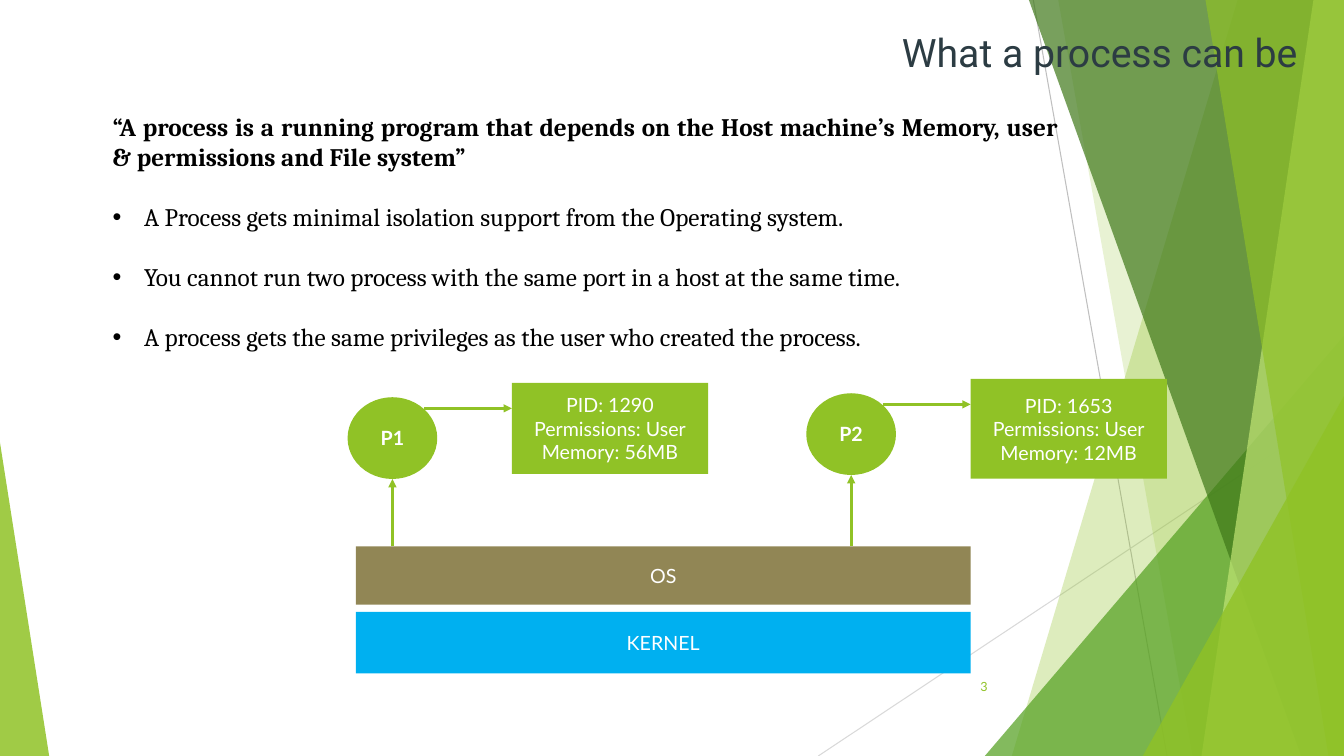
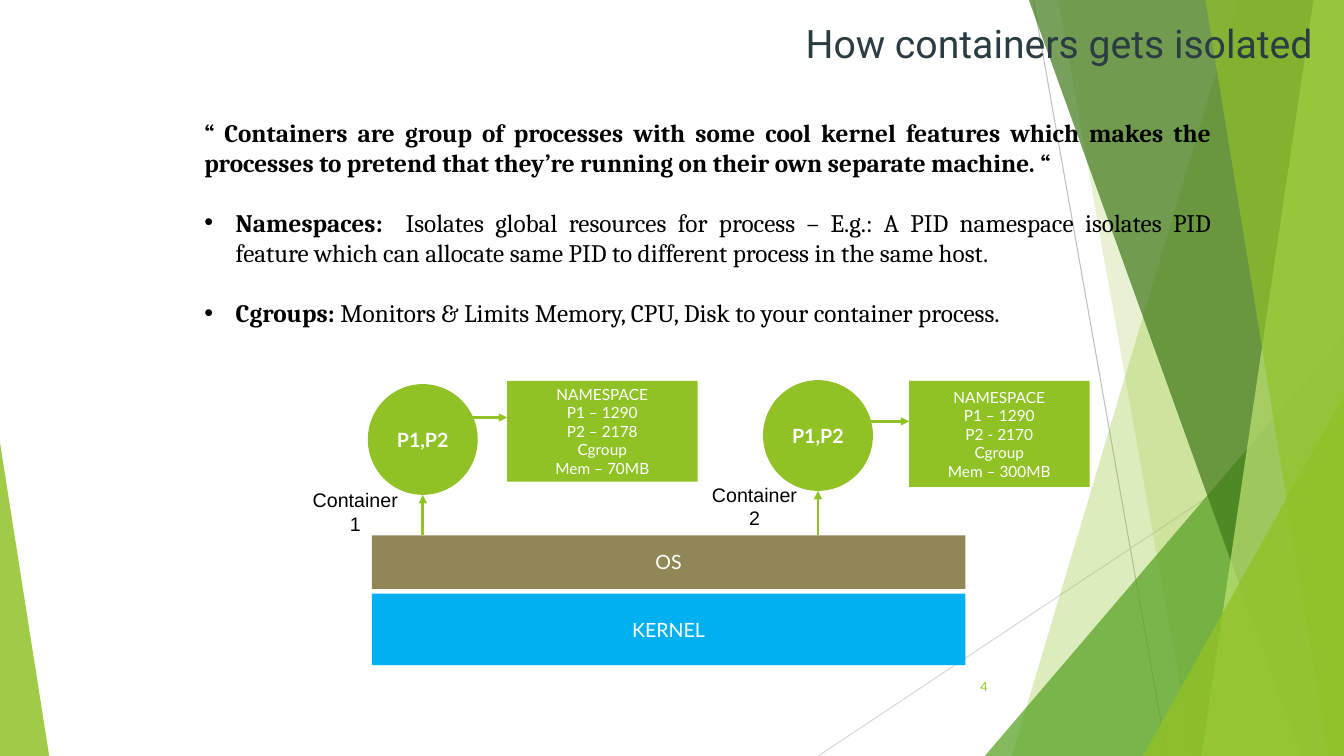
from lxml.etree import SubElement
from pptx import Presentation
from pptx.dml.color import RGBColor
from pptx.enum.shapes import MSO_CONNECTOR as Link, MSO_SHAPE as Preset
from pptx.enum.text import MSO_ANCHOR as Anchor, MSO_AUTO_SIZE as AutoSize, PP_ALIGN as Align
from pptx.oxml.ns import qn
from pptx.util import Cm, Pt

GREEN = RGBColor(0x90, 0xC2, 0x26)
MID_GREEN = RGBColor(0x54, 0xA0, 0x21)
DARK_GREEN = RGBColor(0x3F, 0x78, 0x19)
PALE_GREEN = RGBColor(0xC0, 0xE4, 0x74)
OS_BROWN = RGBColor(0x91, 0x86, 0x55)
KERNEL_BLUE = RGBColor(0x00, 0xB0, 0xF0)
SLATE = RGBColor(0x2C, 0x3C, 0x43)
GREY = RGBColor(0xBF, 0xBF, 0xBF)
LIGHT_GREY = RGBColor(0xD9, 0xD9, 0xD9)
BLACK = RGBColor(0, 0, 0)
WHITE = RGBColor(0xFF, 0xFF, 0xFF)

WIDTH, HEIGHT = 33.87, 19.05

# Content: all places are in centimetres, as left, top, width, height
SLIDES = [
    {
        "number": "3",
        "title": ("What a process can be", (14.76, 0.79)),
        "body": (2.59, 2.67, 24.33, 6.4),
        "quote": "“A process is a running program that depends on the Host machine’s "
                 "Memory, user & permissions and File system”",
        "bullets": [
            [("A Process gets minimal isolation support from the Operating system.", False)],
            [("You cannot run two process with the same port in a host at the same time.", False)],
            [("A process gets the same privileges as the user who created the process.", False)],
        ],
        "os": (8.97, 13.77, 15.49, 1.47),
        "kernel": (8.97, 15.42, 15.49, 1.55),
        "detail_size": 14,
        "processes": [
            {"name": "P1", "circle": (8.76, 10.01, 2.26, 2.06), "arrow_y": 10.29,
             "details": ["PID: 1290", "Permissions: User", "Memory: 56MB"],
             "box": (12.9, 9.65, 4.95, 2.29)},
            {"name": "P2", "circle": (20.32, 9.91, 2.26, 2.06), "arrow_y": 10.19,
             "details": ["PID: 1653", "Permissions: User", "Memory: 12MB"],
             "box": (24.46, 9.55, 4.95, 2.51)},
        ],
        "labels": [],
    },
    {
        "number": "4",
        "title": ("How containers gets isolated", (15.14, 0.56)),
        "body": (4.9, 2.82, 25.88, 6.4),
        "quote": "“ Containers are group of processes with some cool kernel features which "
                 "makes the processes to pretend that they’re running on their own separate "
                 "machine. “",
        "bullets": [
            [("Namespaces: ", True),
             (" Isolates global resources for process – E.g.: A PID namespace isolates PID "
              "feature which can allocate same PID to different process in the same host.", False)],
            [("Cgroups:", True),
             (" Monitors & Limits Memory, CPU, Disk to your container process.", False)],
        ],
        "os": (9.37, 13.49, 14.96, 1.35),
        "kernel": (9.37, 14.96, 14.96, 1.8),
        "detail_size": 11,
        "processes": [
            {"name": "P1,P2", "circle": (9.27, 9.68, 2.77, 2.79), "arrow_y": 10.52,
             "details": ["NAMESPACE", "P1 – 1290", "P2 – 2178", "Cgroup", "Mem – 70MB"],
             "box": (12.78, 9.6, 4.8, 2.54)},
            {"name": "P1,P2", "circle": (19.23, 9.58, 2.77, 2.79), "arrow_y": 10.62,
             "details": ["NAMESPACE", "P1 – 1290", "P2 - 2170", "Cgroup", "Mem – 300MB"],
             "box": (22.91, 9.6, 4.55, 2.67)},
        ],
        "labels": [("Container 1", (7.57, 12.17, 2.77, 1.45)),
                   ("Container 2", (17.63, 12.04, 2.77, 1.45))],
    },
]

# Backdrop, from back to front
THIN_LINES = [((26.04, 0), (29.41, HEIGHT), GREY),
              ((WIDTH, 10.24), (20.62, HEIGHT), LIGHT_GREY)]
# A band runs from its slanted side (top x, bottom x) to the right edge;
# a triangle has its place and its apex (0 left, 1 right)
FACETS = [
    ("band", (31.19, 25.5), None, GREEN, 30),
    ("band", (26.67, 30.05), None, GREEN, 20),
    ("triangle", (24.82, 8.46, 9.05, 10.59), 1, MID_GREEN, 72),
    ("band", (25.93, 32.79), None, DARK_GREEN, 70),
    ("band", (33.1, 30.28), None, PALE_GREEN, 70),
    ("band", (30.38, 33.48), None, GREEN, 65),
    ("triangle", (28.8, 9.98, 5.07, 9.07), 1, GREEN, 80),
    ("triangle", (0, 11.15, 1.24, 7.9), 0, GREEN, 85),
]


def cm(values):
    return [Cm(value) for value in values]


def write(frame, paragraphs, font="Lato", size=14, color=WHITE, bold=False,
          align=Align.CENTER, anchor=Anchor.MIDDLE, line_spacing=None, gap=None, bullets_from=None):
    """Fill a text frame; a paragraph is a string or a list of (text, bold) runs."""
    frame.word_wrap = True
    frame.auto_size = AutoSize.NONE
    frame.vertical_anchor = anchor
    for i, content in enumerate(paragraphs):
        paragraph = frame.paragraphs[0] if i == 0 else frame.add_paragraph()
        paragraph.alignment = align
        if line_spacing:
            paragraph.line_spacing = line_spacing
        if gap:
            paragraph.space_after = Pt(gap)
        if bullets_from is not None and i >= bullets_from:
            props = paragraph._p.get_or_add_pPr()
            props.set("marL", str(Cm(0.79)))
            props.set("indent", str(-Cm(0.79)))
            SubElement(props, qn("a:buFont")).set("typeface", "Arial")
            SubElement(props, qn("a:buChar")).set("char", "•")
        for text, is_bold in [(content, bold)] if isinstance(content, str) else content:
            run = paragraph.add_run()
            run.text = text
            run.font.name, run.font.size = font, Pt(size)
            run.font.bold = is_bold
            run.font.color.rgb = color


def paint(shape, color, opacity=100):
    shape.shadow.inherit = False
    shape.fill.solid()
    shape.fill.fore_color.rgb = color
    shape.line.fill.background()
    if opacity < 100:
        fill_color = shape.element.spPr.find(".//" + qn("a:srgbClr"))
        SubElement(fill_color, qn("a:alpha")).set("val", str(opacity * 1000))
    return shape


def add_block(slide, place, color, paragraphs, preset=Preset.RECTANGLE, **fmt):
    block = paint(slide.shapes.add_shape(preset, *cm(place)), color)
    frame = block.text_frame
    frame.margin_left = frame.margin_right = frame.margin_top = frame.margin_bottom = 0
    write(frame, paragraphs, **fmt)


def add_note(slide, place, paragraphs, **fmt):
    write(slide.shapes.add_textbox(*cm(place)).text_frame, paragraphs, **fmt)


def add_line(slide, start, end, color=GREEN, width=2, arrow=True):
    line = slide.shapes.add_connector(Link.STRAIGHT, *cm(start), *cm(end))
    line.line.color.rgb = color
    line.line.width = Pt(width)
    if arrow:
        SubElement(line.line._get_or_add_ln(), qn("a:tailEnd")).set("type", "triangle")
    SubElement(line.element.spPr, qn("a:effectLst"))
    return line


def add_facet(slide, kind, place, apex, color, opacity):
    if kind == "triangle":
        facet = slide.shapes.add_shape(Preset.ISOSCELES_TRIANGLE, *cm(place))
        facet.adjustments[0] = apex
    else:
        top_x, bottom_x = place
        outline = slide.shapes.build_freeform(Cm(top_x), 0)
        corners = [(WIDTH, 0), (WIDTH, HEIGHT), (bottom_x, HEIGHT)]
        outline.add_line_segments([cm(corner) for corner in corners], close=True)
        facet = outline.convert_to_shape()
    return paint(facet, color, opacity)


def set_backdrop(layout, slide):
    """Draw the backdrop once and move it to the layout, behind its title."""
    for placeholder in list(layout.placeholders):
        if placeholder.placeholder_format.idx != 0:
            layout.shapes.element.remove(placeholder.element)
    parts = [add_line(slide, *line, width=0.75, arrow=False) for line in THIN_LINES]
    parts += [add_facet(slide, *facet) for facet in FACETS]
    for i, part in enumerate(parts):
        layout.shapes.element.insert(2 + i, part.element)


def add_process(slide, process, os_top, detail_size):
    left, top, width, height = process["circle"]
    center, y = left + width / 2, process["arrow_y"]
    add_line(slide, (center, os_top), (center, top + height))
    add_block(slide, process["circle"], GREEN, [process["name"]], Preset.OVAL, bold=True)
    add_line(slide, (left + 0.85 * width, y), (process["box"][0], y), width=1.75)
    add_block(slide, process["box"], GREEN, process["details"], size=detail_size)


def fill_slide(slide, content):
    # Title and slide number
    title, corner = content["title"]
    heading = slide.shapes.title
    heading.left, heading.top, heading.width, heading.height = cm((*corner, 18.19, 1.22))
    write(heading.text_frame, [title], font="Roboto", size=28, color=SLATE,
          align=Align.RIGHT, anchor=Anchor.BOTTOM, line_spacing=0.8)
    add_note(slide, (23.85, 16.79, 1.9, 1.02), [content["number"]], size=9, color=GREEN)

    # Quote and bullets
    add_note(slide, content["body"], [[(content["quote"], True)], *content["bullets"]],
             font="Cambria", size=18, color=BLACK, align=Align.JUSTIFY,
             anchor=Anchor.TOP, gap=21.3, bullets_from=1)

    # Diagram
    add_block(slide, content["kernel"], KERNEL_BLUE, ["KERNEL"])
    add_block(slide, content["os"], OS_BROWN, ["OS"])
    for process in content["processes"]:
        add_process(slide, process, content["os"][1], content["detail_size"])
    for label, place in content["labels"]:
        add_note(slide, place, [label], font="Arial", color=BLACK, anchor=Anchor.TOP)


def main():
    deck = Presentation()
    deck.slide_width, deck.slide_height = cm((WIDTH, HEIGHT))
    title_only = deck.slide_layouts[5]
    slides = [deck.slides.add_slide(title_only) for _ in SLIDES]
    set_backdrop(title_only, slides[0])
    for slide, content in zip(slides, SLIDES):
        fill_slide(slide, content)
    deck.save("out.pptx")


if __name__ == "__main__":
    main()
